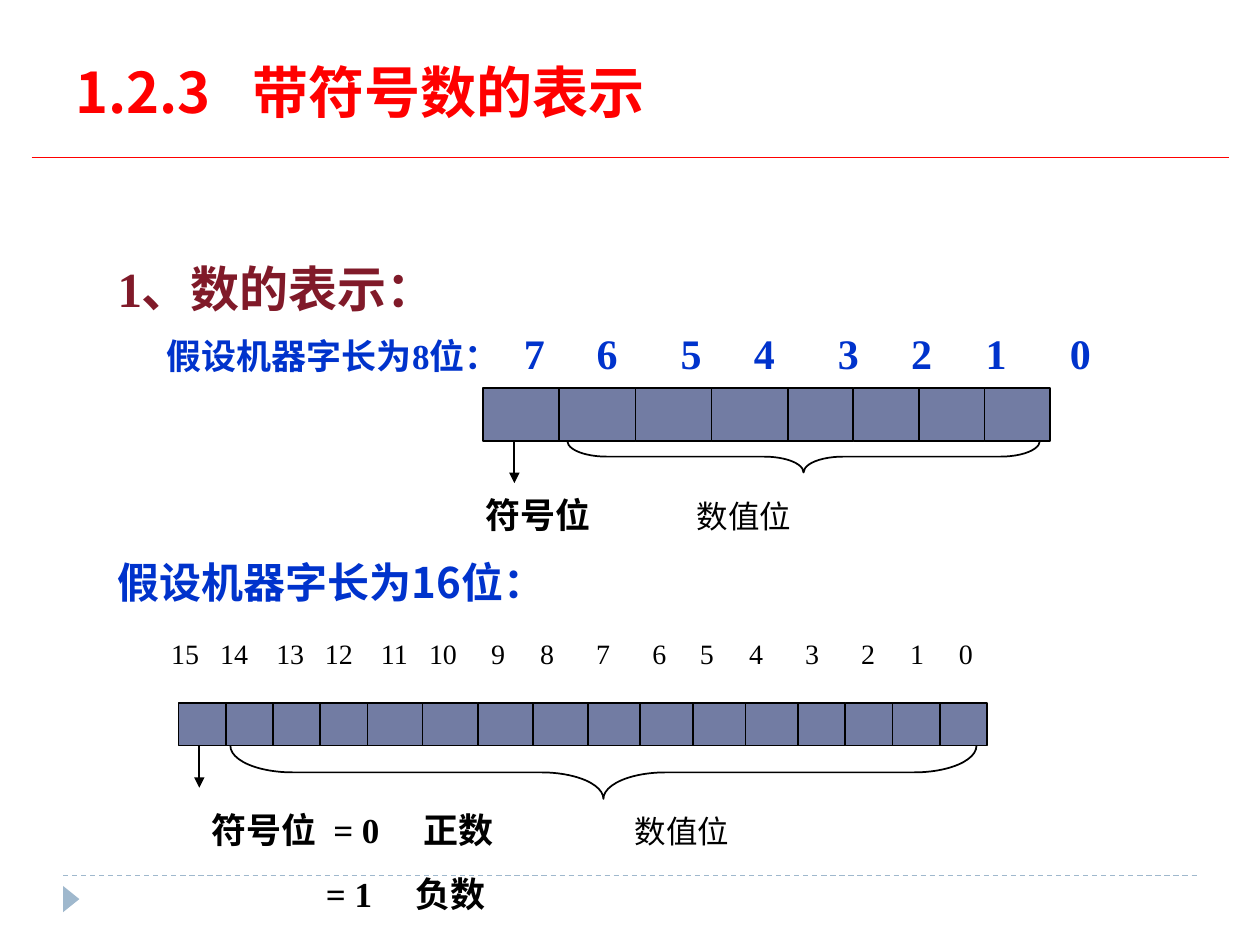
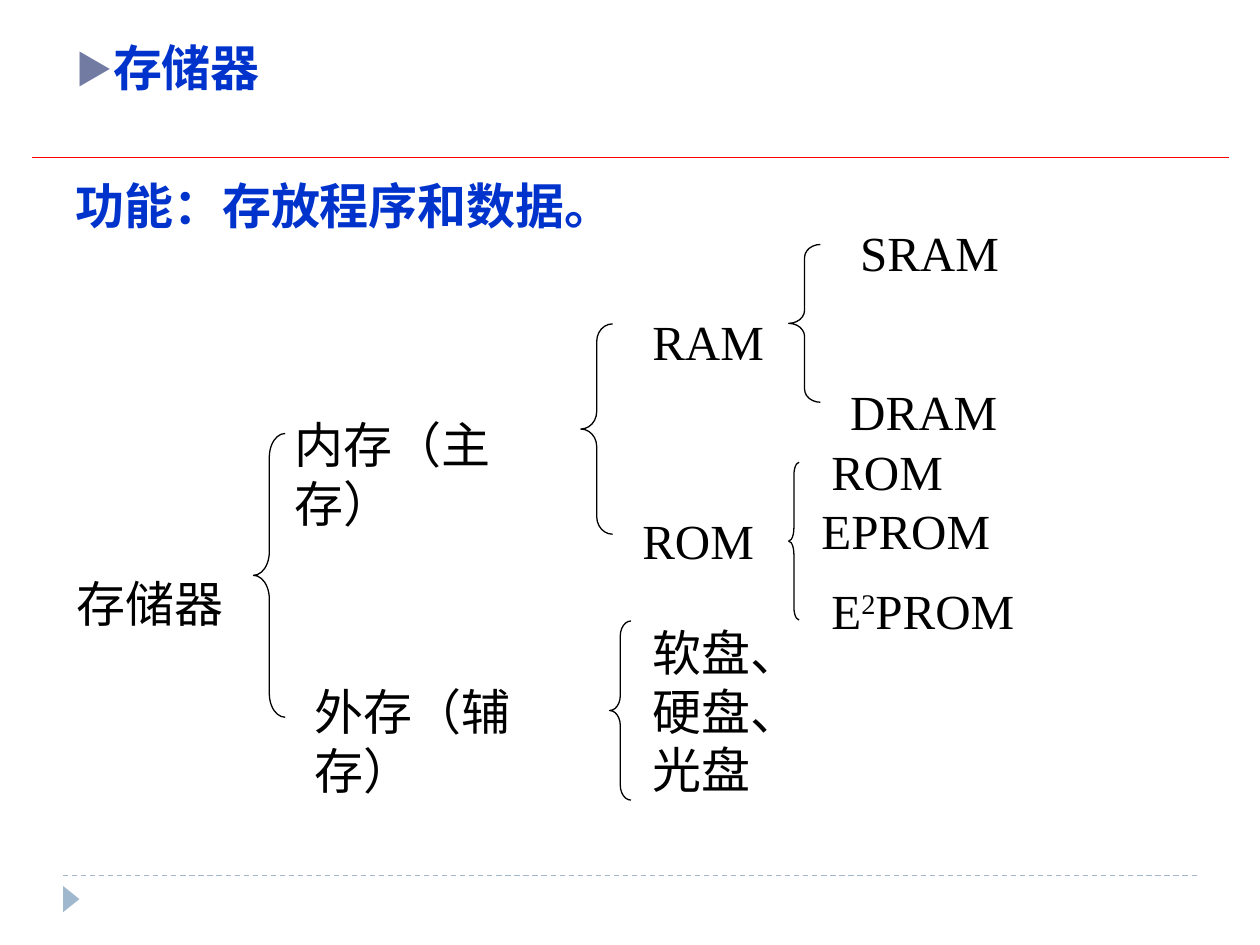
from dataclasses import dataclass
from itertools import pairwise

from lxml.etree import SubElement
from pptx import Presentation
from pptx.dml.color import RGBColor
from pptx.enum.dml import MSO_LINE
from pptx.enum.shapes import MSO_CONNECTOR, MSO_SHAPE
from pptx.oxml.ns import qn
from pptx.shapes.autoshape import Shape
from pptx.shapes.connector import Connector
from pptx.slide import Slide
from pptx.text.text import _Paragraph as Paragraph
from pptx.util import Cm, Pt

SERIF = "Times New Roman"
SANS = "Noto Sans CJK SC"
BLACK, RED, MAROON, BLUE = "000000", "FF0000", "801A29", "0033CC"
CELL, FOOTER = "727CA3", "9FB8CD"
LINE_HEIGHT = 1.2
CELLS_PER_GROUP = 4


@dataclass(frozen=True)
class Span:
    """A run of text in one style."""
    text: str
    size: float = 28
    color: str = BLACK
    bold: bool = False
    latin: str = SERIF
    raised: bool = False


@dataclass(frozen=True)
class Para:
    """A line of spans with tab stops in centimetres."""
    spans: tuple[Span, ...]
    stops: tuple[float, ...] = ()
    before: float = 0
    bullet: bool = False


@dataclass(frozen=True)
class TextBlock:
    """A text box in centimetres."""
    left: float
    top: float
    width: float
    paras: tuple[Para, ...]
    height: float = 1.45


@dataclass(frozen=True)
class Brace:
    """A left brace in centimetres, turned by an angle."""
    left: float
    top: float
    width: float
    height: float
    weight: float = 0.75
    turn: float = 0


@dataclass(frozen=True)
class Register:
    """A row of bit cells: the edges bound groups of equal cells."""
    edges: tuple[float, ...]
    top: float
    height: float
    sign_x: float


def label(text: str, left: float, top: float, width: float) -> TextBlock:
    """Describe a plain label of the memory tree."""
    return TextBlock(left, top, width, (Para((Span(text),)),))


BITS_8 = "\t".join(str(bit) for bit in reversed(range(8)))
BITS_16 = "\t".join(str(bit) for bit in reversed(range(16)))

NUMBER_TEXTS = (
    TextBlock(1.27, 1.03, 16.1, (
        Para((Span("1.2.3\t带符号数的表示", 32, RED, True, SANS),), (3.57,)),)),
    TextBlock(2.12, 5.08, 21.39, (
        Para((Span("1、数的表示：", 28, MAROON, True),)),
        Para((Span("\t假设机器字长为8位：\t", 20, BLUE, True), Span(BITS_8, 24, BLUE, True)),
             (0.99, 8.19, 9.66, 11.35, 12.83, 14.52, 16.0, 17.5, 19.2), 6)), 2.8),
    TextBlock(9.53, 9.82, 7.06, (
        Para((Span("符号位\t", 20, bold=True), Span("数值位", 18)), (4.27,)),)),
    TextBlock(2.12, 11.09, 9.96, (
        Para((Span("假设机器字长为16位：", 24, BLUE, True, SANS),)),)),
    TextBlock(3.2, 12.7, 18, (
        Para((Span(BITS_16, 16),),
             (0.99, 2.12, 3.1, 4.23, 5.2, 6.45, 7.44, 8.57, 9.7,
              10.66, 11.65, 12.78, 13.91, 14.9, 15.88)),)),
    TextBlock(4.01, 16.17, 16.08, (
        Para((Span("符号位\t= 0\t正数\t", 20, bold=True), Span("数值位", 18)),
             (2.46, 4.28, 8.54)),
        Para((Span("\t= 1\t负数", 20, bold=True),), (2.31, 4.12), 12.5)), 2.4),
)
REGISTERS = (
    Register((9.74, 15.88, 21.17), 7.83, 1.06, 10.37),
    Register((3.6, 7.41, 11.85, 16.09, 19.9), 14.18, 0.85, 4.02),
)
VALUE_BRACES = (
    Brace(15.88, 4.44, 0.64, 9.53, 1, 270),
    Brace(11.63, 8.05, 1.07, 15.04, 1, 270),
)

MEMORY_TEXTS = (
    TextBlock(1.27, 0.64, 22.86, (
        Para((Span("存储器", 28, BLUE, True),), bullet=True),)),
    TextBlock(1.27, 3.42, 22.86, (
        Para((Span("功能：存放程序和数据。", 28, BLUE, True),)),)),
    label("存储器", 1.3, 11.43, 5.08),
    label("内存（主存）", 5.69, 8.23, 6.15),
    label("外存（辅存）", 6.1, 13.61, 6.15),
    label("RAM", 12.9, 6.16, 3.4),
    label("ROM", 12.7, 10.17, 3.4),
    label("SRAM", 17.09, 4.36, 4.45),
    label("DRAM", 16.89, 7.56, 4.45),
    label("ROM", 16.51, 8.78, 4.45),
    label("EPROM", 16.31, 9.97, 5.08),
    TextBlock(16.51, 11.57, 5.28, (
        Para((Span("E"), Span("2", raised=True), Span("PROM"))),)),
    label("软盘、硬盘、光盘", 12.9, 12.42, 3.81),
)
MEMORY_BRACES = (
    Brace(5.11, 8.74, 0.64, 5.72),
    Brace(11.71, 6.53, 0.64, 4.24),
    Brace(15.9, 4.93, 0.64, 3.18),
    Brace(15.9, 9.32, 0.21, 3.18),
    Brace(12.29, 12.52, 0.43, 3.61),
)


def rgb(color: str) -> RGBColor:
    """Turn a hex string into a colour."""
    return RGBColor.from_string(color)


def add_span(para: Paragraph, span: Span) -> None:
    """Add one run to a paragraph."""
    run = para.add_run()
    run.text = span.text
    font = run.font
    font.size, font.bold, font.name = Pt(span.size), span.bold, span.latin
    font.color.rgb = rgb(span.color)
    properties = run._r.get_or_add_rPr()
    SubElement(properties, qn("a:ea"), typeface=SANS)
    if span.raised:
        properties.set("baseline", "30000")


def format_para(para: Paragraph, style: Para) -> None:
    """Set the spacing, bullet and tab stops of a paragraph."""
    para.line_spacing = Pt(LINE_HEIGHT * max(span.size for span in style.spans))
    para.space_before = Pt(style.before)
    properties = para._p.get_or_add_pPr()
    if style.bullet:
        properties.set("marL", str(Cm(0.76)))
        properties.set("indent", str(Cm(-0.76)))
        color = SubElement(properties, qn("a:buClr"))
        SubElement(color, qn("a:srgbClr"), val=CELL)
        SubElement(properties, qn("a:buSzPct"), val="76000")
        SubElement(properties, qn("a:buFont"), typeface=SANS)
        SubElement(properties, qn("a:buChar"), char="▶")
    if style.stops:
        tabs = SubElement(properties, qn("a:tabLst"))
        for stop in style.stops:
            SubElement(tabs, qn("a:tab"), pos=str(Cm(stop)), algn="l")


def add_text(page: Slide, block: TextBlock) -> None:
    """Draw a text box."""
    box = page.shapes.add_textbox(
        Cm(block.left), Cm(block.top), Cm(block.width), Cm(block.height))
    frame = box.text_frame
    frame.word_wrap = True
    for index, style in enumerate(block.paras):
        para = frame.add_paragraph() if index else frame.paragraphs[0]
        format_para(para, style)
        for span in style.spans:
            add_span(para, span)


def add_figure(page: Slide, kind: MSO_SHAPE, left: float, top: float, width: float,
               height: float, fill: str | None = None, weight: float = 0) -> Shape:
    """Draw a preset shape with an optional fill and black outline."""
    figure = page.shapes.add_shape(kind, Cm(left), Cm(top), Cm(width), Cm(height))
    figure.shadow.inherit = False
    if fill:
        figure.fill.solid()
        figure.fill.fore_color.rgb = rgb(fill)
    else:
        figure.fill.background()
    if weight:
        figure.line.color.rgb = rgb(BLACK)
        figure.line.width = Pt(weight)
    else:
        figure.line.fill.background()
    return figure


def add_rule(page: Slide, start: tuple[float, float], end: tuple[float, float],
             color: str, weight: float = 0.75) -> Connector:
    """Draw a straight line without a shadow."""
    rule = page.shapes.add_connector(
        MSO_CONNECTOR.STRAIGHT, *(Cm(value) for value in start + end))
    rule.line.color.rgb = rgb(color)
    rule.line.width = Pt(weight)
    SubElement(rule._element.spPr, qn("a:effectLst"))
    return rule


def add_brace(page: Slide, brace: Brace) -> None:
    """Draw a brace whose curves take a twelfth of its length."""
    figure = add_figure(page, MSO_SHAPE.LEFT_BRACE, brace.left, brace.top,
                        brace.width, brace.height, weight=brace.weight)
    figure.adjustments[0] = brace.height / 12 / brace.width
    figure.rotation = brace.turn


def add_register(page: Slide, register: Register) -> None:
    """Draw the bit cells and the arrow to the sign bit's label."""
    for start, end in pairwise(register.edges):
        width = (end - start) / CELLS_PER_GROUP
        for index in range(CELLS_PER_GROUP):
            add_figure(page, MSO_SHAPE.RECTANGLE, start + index * width, register.top,
                       width, register.height, CELL, 1)
    bottom = register.top + register.height
    arrow = add_rule(page, (register.sign_x, bottom),
                     (register.sign_x, bottom + 0.85), BLACK, 1)
    SubElement(arrow.line._get_or_add_ln(), qn("a:tailEnd"), type="triangle")


def add_page(deck: Presentation, texts: tuple[TextBlock, ...],
             braces: tuple[Brace, ...], registers: tuple[Register, ...] = ()) -> None:
    """Add a slide with the shared rules, footer mark and its own content."""
    page = deck.slides.add_slide(deck.slide_layouts[6])
    footer = add_rule(page, (1.27, 17.65), (24.13, 17.65), FOOTER)
    footer.line.dash_style = MSO_LINE.DASH
    add_figure(page, MSO_SHAPE.ISOSCELES_TRIANGLE, 1.17, 17.96, 0.53, 0.33, FOOTER).rotation = 90
    add_rule(page, (0.64, 3.18), (24.77, 3.18), RED)
    for register in registers:
        add_register(page, register)
    for brace in braces:
        add_brace(page, brace)
    for block in texts:
        add_text(page, block)


def main() -> None:
    """Build and save the deck."""
    deck = Presentation()
    deck.slide_width, deck.slide_height = Cm(25.4), Cm(19.05)
    add_page(deck, NUMBER_TEXTS, VALUE_BRACES, REGISTERS)
    add_page(deck, MEMORY_TEXTS, MEMORY_BRACES)
    deck.save("out.pptx")


if __name__ == "__main__":
    main()
